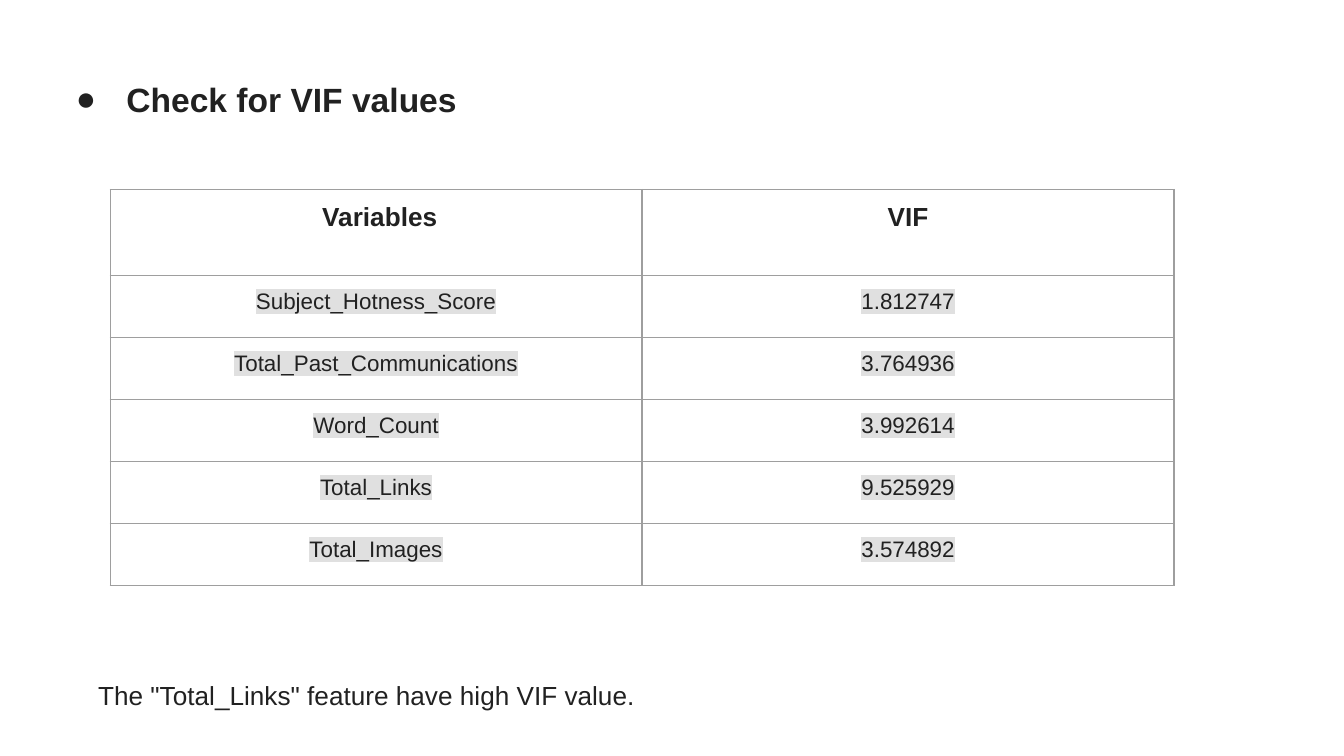
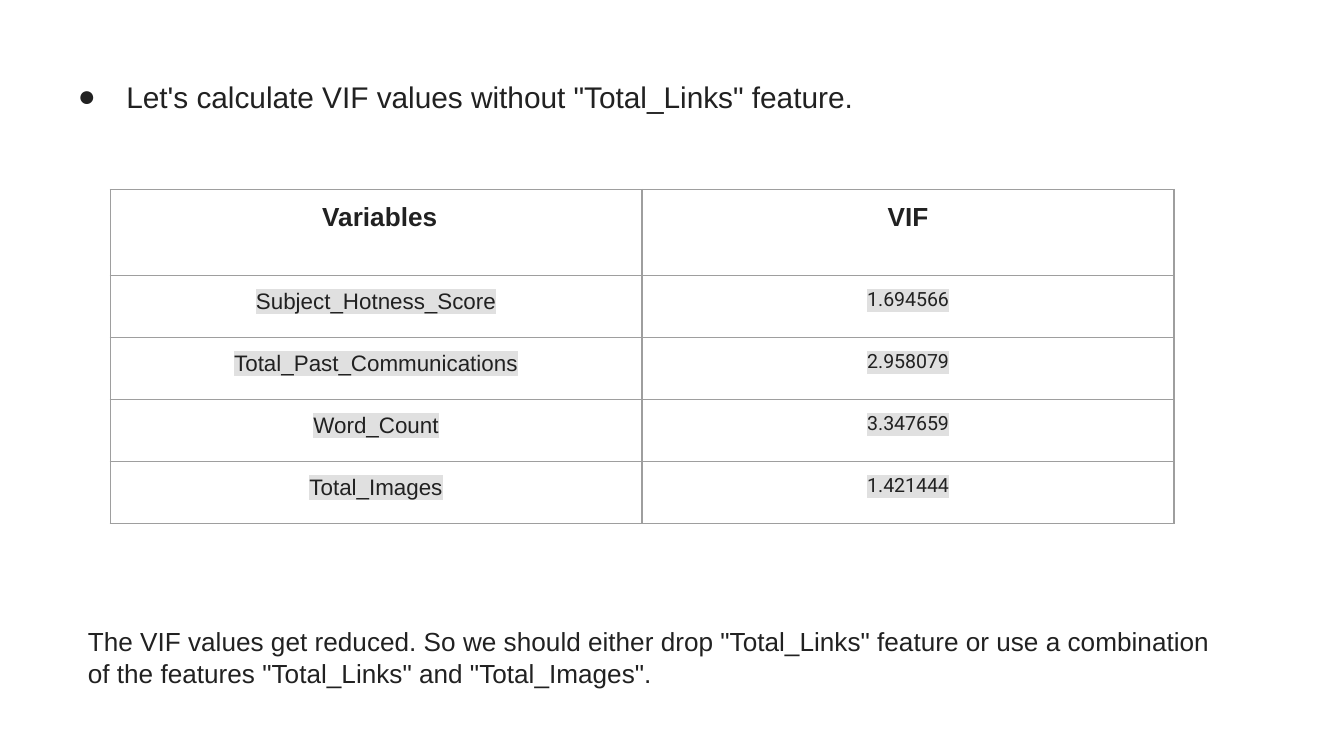
from dataclasses import dataclass

from lxml.etree import SubElement
from pptx import Presentation
from pptx.dml.color import RGBColor
from pptx.enum.text import MSO_ANCHOR, MSO_AUTO_SIZE, PP_ALIGN
from pptx.oxml.ns import qn
from pptx.util import Pt


@dataclass(frozen=True)
class Theme:
    ink: str = "212121"
    paper: str = "FFFFFF"
    shade: str = "E0E0E0"
    border: str = "9E9E9E"
    font: str = "Arial"
    number_font: str = "Roboto"
    title_size: float = 18
    subtitle_size: float = 16
    text_size: float = 14
    cell_size: float = 12
    number_size: float = 10.5
    inset: float = 7.2
    border_width: float = 0.75


THEME = Theme()


# Text helpers
def add_color(parent, tag, color):
    el = SubElement(parent, qn(tag))
    SubElement(el, qn("a:srgbClr"), val=color)
    return el


def add_run(p, text, size, bold=False, font=THEME.font, highlight=None):
    r = p.add_run()
    r.text = text
    r.font.size = Pt(size)
    r.font.bold = bold
    r.font.name = font
    r.font.color.rgb = RGBColor.from_string(THEME.ink)
    if highlight:
        rPr = r.font._element
        mark = add_color(rPr, "a:highlight", highlight)
        rPr.find(qn("a:solidFill")).addnext(mark)


def set_insets(target):
    for side in ("left", "top", "right", "bottom"):
        setattr(target, f"margin_{side}", Pt(THEME.inset))


# Bulleted slide title
def add_title(slide, text, size, hanging, bold=False, highlight=None):
    sp = slide.shapes.title
    sp.left, sp.top, sp.width, sp.height = Pt(24.5), Pt(35), Pt(671), Pt(45)
    tf = sp.text_frame
    tf.auto_size = MSO_AUTO_SIZE.NONE
    tf.vertical_anchor = MSO_ANCHOR.TOP
    set_insets(tf)
    p = tf.paragraphs[0]
    p.alignment = PP_ALIGN.LEFT
    pPr = p._p.get_or_add_pPr()
    pPr.set("marL", str(Pt(36)))
    pPr.set("indent", str(-Pt(hanging)))
    add_color(pPr, "a:buClr", THEME.ink)
    SubElement(pPr, qn("a:buFont"), typeface=THEME.font)
    SubElement(pPr, qn("a:buChar"), char="●")
    add_run(p, text, size, bold, highlight=highlight)


# VIF table
def format_cell(cell):
    set_insets(cell)
    tcPr = cell._tc.get_or_add_tcPr()
    for side in ("a:lnL", "a:lnR", "a:lnT", "a:lnB"):
        ln = SubElement(tcPr, qn(side), w=str(Pt(THEME.border_width)))
        add_color(ln, "a:solidFill", THEME.border)
    cell.fill.background()


def add_vif_table(slide, rows, number_font, number_size):
    col_width, header_height, row_height = 285, 46, 33.25
    frame = slide.shapes.add_table(
        len(rows) + 1, 2, Pt(59), Pt(101.5),
        Pt(2 * col_width), Pt(header_height + row_height * len(rows)))
    table = frame.table
    table.first_row = False
    table.horz_banding = False
    header = dict(size=THEME.text_size, bold=True, highlight=THEME.paper)
    name = dict(size=THEME.cell_size, highlight=THEME.shade)
    number = dict(size=number_size, font=number_font, highlight=THEME.shade)
    for i, texts in enumerate([(" Variables", "VIF"), *rows]):
        table.rows[i].height = Pt(row_height if i else header_height)
        styles = (name, number) if i else (header, header)
        for j, (text, style) in enumerate(zip(texts, styles)):
            cell = table.cell(i, j)
            format_cell(cell)
            p = cell.text_frame.paragraphs[0]
            p.alignment = PP_ALIGN.CENTER
            add_run(p, text, **style)


# Conclusion below the table
def add_note(slide, text, left, top, height):
    sp = slide.shapes.add_textbox(Pt(left), Pt(top), Pt(629), Pt(height))
    tf = sp.text_frame
    tf.word_wrap = True
    tf.auto_size = MSO_AUTO_SIZE.SHAPE_TO_FIT_TEXT
    set_insets(tf)
    add_run(tf.paragraphs[0], text, THEME.text_size, highlight=THEME.paper)


def main():
    prs = Presentation()
    prs.slide_width, prs.slide_height = Pt(720), Pt(405)
    title_only = prs.slide_layouts[5]

    # Slide 1: all features
    slide = prs.slides.add_slide(title_only)
    add_title(slide, "Check for VIF values", THEME.title_size, 27, bold=True)
    add_vif_table(slide, [
        ("Subject_Hotness_Score", "1.812747"),
        ("Total_Past_Communications", "3.764936"),
        ("Word_Count", "3.992614"),
        ("Total_Links", "9.525929"),
        ("Total_Images", "3.574892"),
    ], THEME.font, THEME.cell_size)
    add_note(slide, 'The "Total_Links" feature have high VIF value.',
             45.5, 356.5, 31.5)

    # Slide 2: without Total_Links
    slide = prs.slides.add_slide(title_only)
    add_title(slide, 'Let\'s calculate VIF values without "Total_Links" feature.',
              THEME.subtitle_size, 26, highlight=THEME.paper)
    add_vif_table(slide, [
        ("Subject_Hotness_Score", "1.694566"),
        ("Total_Past_Communications", "2.958079"),
        ("Word_Count", "3.347659"),
        ("Total_Images", "1.421444"),
    ], THEME.number_font, THEME.number_size)
    add_note(slide, 'The VIF values get reduced. So we should either drop '
             '"Total_Links" feature or use a combination of the features '
             '"Total_Links" and "Total_Images".', 40, 328, 48)

    prs.save("out.pptx")


if __name__ == "__main__":
    main()
